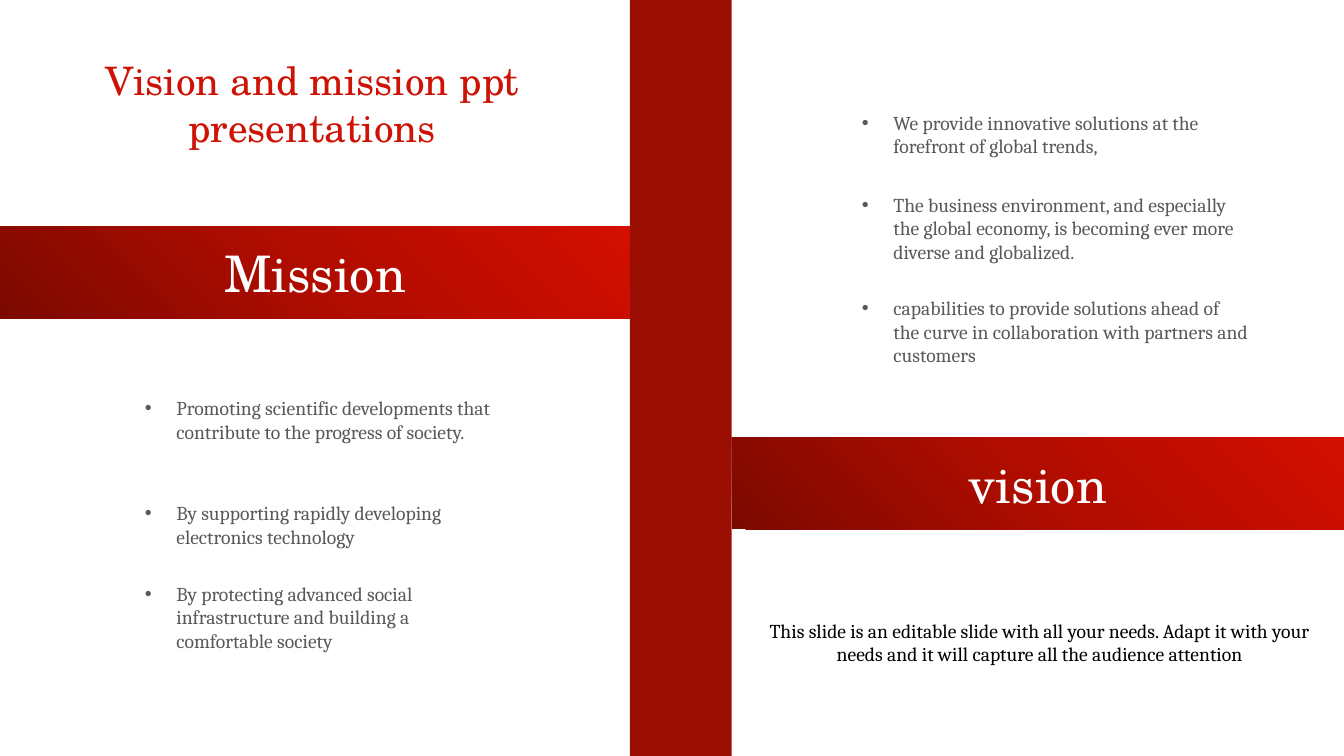
from copy import deepcopy

from lxml.etree import SubElement
from pptx import Presentation
from pptx.dml.color import RGBColor
from pptx.enum.shapes import MSO_SHAPE
from pptx.enum.text import MSO_ANCHOR, MSO_AUTO_SIZE, PP_ALIGN
from pptx.oxml.ns import qn
from pptx.util import Pt

COLORS = {
    "column": "9A0E04",
    "band_dark": "7C0900",
    "band_middle": "B10C00",
    "band_bright": "D20F00",
    "title": "CD1305",
    "white": "FFFFFF",
    "grey": "595959",
    "black": "000000",
}
HEADING_FONT = "TeX Gyre Schola"
BODY_FONT = "Cambria"

PAGE_WIDTH, PAGE_HEIGHT = 960, 540
COLUMN_LEFT, COLUMN_RIGHT = 450, 522.7
BAND_HEIGHT = 65.7
BULLET_INDENT = 22.5

# Each entry: top, height, text
MISSION_POINTS = [
    (279.4, 58.2, "Promoting scientific developments that contribute to the progress of society."),
    (354.4, 41.2, "By supporting rapidly developing electronics technology"),
    (412, 58.2, "By protecting advanced social infrastructure and building a comfortable society"),
]
VISION_POINTS = [
    (75.6, 41.2, "We provide innovative solutions at the forefront of global trends,"),
    (133.9, 58.2, "The business environment, and especially the global economy, "
                  "is becoming ever more diverse and globalized."),
    (208.1, 58.2, "capabilities to provide solutions ahead of the curve "
                  "in collaboration with partners and customers"),
]


def color(name):
    return RGBColor.from_string(COLORS[name])


def style(para, font_name, size, color_name):
    para.font.name = font_name
    para.font.size = Pt(size)
    para.font.color.rgb = color(color_name)


def add_rectangle(page, left, top, width, height):
    rectangle = page.shapes.add_shape(
        MSO_SHAPE.RECTANGLE, Pt(left), Pt(top), Pt(width), Pt(height))
    rectangle.shadow.inherit = False
    rectangle.line.fill.background()
    return rectangle


def add_column(page):
    column = add_rectangle(page, COLUMN_LEFT, 0, COLUMN_RIGHT - COLUMN_LEFT, PAGE_HEIGHT)
    column.fill.solid()
    column.fill.fore_color.rgb = color("column")


def fill_band(band):
    """Give the band a three-stop gradient, rising to the right."""
    band.fill.gradient()
    band.fill.gradient_angle = 45
    stop_list = next(band.element.iter(qn("a:gsLst")))
    stop_list.append(deepcopy(stop_list[0]))
    names = ("band_dark", "band_middle", "band_bright")
    for index, (stop, name) in enumerate(zip(band.fill.gradient_stops, names)):
        stop.position = index / 2
        stop.color.rgb = color(name)


def add_band(page, left, right, top, heading):
    band = add_rectangle(page, left, top, right - left, BAND_HEIGHT)
    fill_band(band)
    band.text_frame.vertical_anchor = MSO_ANCHOR.MIDDLE
    para = band.text_frame.paragraphs[0]
    para.text = heading
    para.alignment = PP_ALIGN.CENTER
    style(para, HEADING_FONT, 36, "white")


def add_text(page, left, top, width, height, text):
    """Add a wrapping text box and return its paragraph."""
    box = page.shapes.add_textbox(Pt(left), Pt(top), Pt(width), Pt(height))
    box.text_frame.word_wrap = True
    box.text_frame.auto_size = MSO_AUTO_SIZE.SHAPE_TO_FIT_TEXT
    para = box.text_frame.paragraphs[0]
    para.text = text
    return para


def add_centred_text(page, left, top, width, height, text, font_name, size, color_name):
    para = add_text(page, left, top, width, height, text)
    para.alignment = PP_ALIGN.CENTER
    style(para, font_name, size, color_name)


def add_points(page, left, width, points):
    for top, height, text in points:
        para = add_text(page, left, top, width, height, text)
        properties = para._p.get_or_add_pPr()
        properties.set("marL", str(Pt(BULLET_INDENT)))
        properties.set("indent", str(-Pt(BULLET_INDENT)))
        SubElement(properties, qn("a:buFont"), typeface="Arial")
        SubElement(properties, qn("a:buChar"), char="•")
        style(para, BODY_FONT, 14, "grey")


def main():
    deck = Presentation()
    deck.slide_width, deck.slide_height = Pt(PAGE_WIDTH), Pt(PAGE_HEIGHT)
    page = deck.slides.add_slide(deck.slide_layouts[6])

    add_column(page)
    add_band(page, 0, COLUMN_LEFT, 162, "Mission")
    add_band(page, COLUMN_RIGHT, PAGE_WIDTH, 312.4, "vision")
    add_points(page, 96.4, 268, MISSION_POINTS)
    add_points(page, 608.6, 291, VISION_POINTS)
    add_centred_text(page, 13.7, 36.7, 418.3, 75,
                     "Vision and mission ppt presentations",
                     HEADING_FONT, 28, "title")
    add_centred_text(page, 540, 438.4, 405.4, 41.2,
                     "This slide is an editable slide with all your needs. Adapt it "
                     "with your needs and it will capture all the audience attention",
                     BODY_FONT, 14, "black")

    deck.save("out.pptx")


if __name__ == "__main__":
    main()
